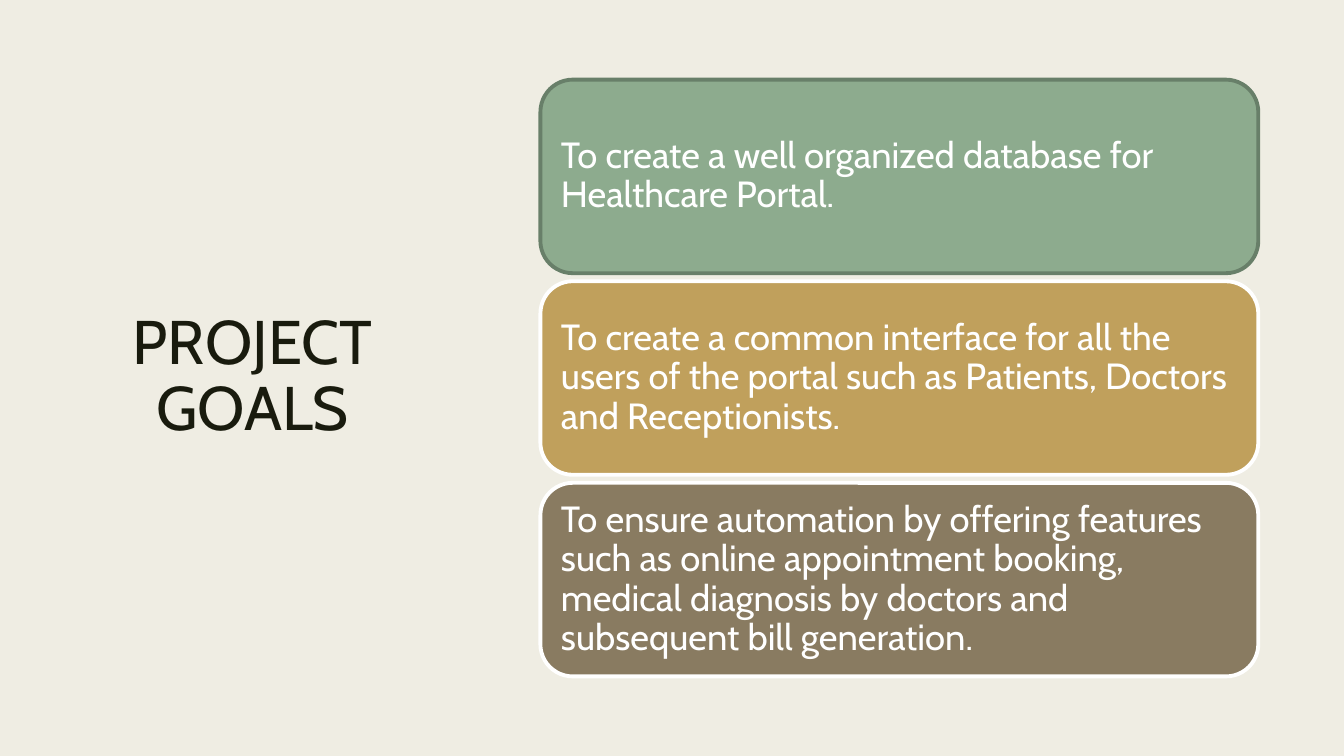
from dataclasses import dataclass

from pptx import Presentation
from pptx.dml.color import RGBColor
from pptx.enum.shapes import MSO_SHAPE as Preset
from pptx.enum.text import MSO_ANCHOR as Anchor, PP_ALIGN as Align
from pptx.slide import Slide
from pptx.text.text import TextFrame
from pptx.util import Inches, Pt

CREAM = RGBColor(0xEF, 0xED, 0xE3)
INK = RGBColor(0x19, 0x1B, 0x0E)
WHITE = RGBColor(0xFF, 0xFF, 0xFF)
SAGE = RGBColor(0x8D, 0xAB, 0x8E)
DARK_SAGE = RGBColor(0x68, 0x7F, 0x69)
GOLD = RGBColor(0xC0, 0xA0, 0x5C)
TAUPE = RGBColor(0x89, 0x7B, 0x61)

FONT = "Cabin"
PAGE_WIDTH, PAGE_HEIGHT = Inches(13.33), Inches(7.5)

# Card column: one card per row, with a small gap between rows
CARD_LEFT, CARD_WIDTH = Inches(5.36), Inches(7.12)
CARD_TOP, CARD_HEIGHT = Inches(0.79), Inches(1.92)
ROW_PITCH = CARD_HEIGHT + Inches(0.08)
CARD_INSET = Inches(0.11)

# Title column
TITLE_MARGIN, TITLE_WIDTH = Inches(0.7), Inches(3.61)


@dataclass(frozen=True)
class Goal:
    text: str
    fill: RGBColor
    outline: RGBColor = WHITE


GOALS = [
    Goal("To create a well organized database for Healthcare Portal.",
         SAGE, DARK_SAGE),
    Goal("To create a common interface for all the users of the portal "
         "such as Patients, Doctors and Receptionists.", GOLD),
    Goal("To ensure automation by offering features such as online "
         "appointment booking, medical diagnosis by doctors and "
         "subsequent bill generation.", TAUPE),
]


def write(frame: TextFrame, text: str, *, size: float, color: RGBColor,
          align: Align = Align.LEFT, spacing: float = 0.9) -> None:
    frame.word_wrap = True
    frame.vertical_anchor = Anchor.MIDDLE
    para = frame.paragraphs[0]
    para.alignment = align
    para.line_spacing = spacing
    span = para.add_run()
    span.text = text
    span.font.name = FONT
    span.font.size = Pt(size)
    span.font.color.rgb = color


def add_title(page: Slide, text: str) -> None:
    box = page.shapes.add_textbox(TITLE_MARGIN, TITLE_MARGIN, TITLE_WIDTH,
                                  PAGE_HEIGHT - 2 * TITLE_MARGIN)
    write(box.text_frame, text, size=44, color=INK, align=Align.CENTER,
          spacing=0.89)


def add_goal(page: Slide, goal: Goal, row: int) -> None:
    card = page.shapes.add_shape(Preset.ROUNDED_RECTANGLE, CARD_LEFT,
                                 CARD_TOP + row * ROW_PITCH,
                                 CARD_WIDTH, CARD_HEIGHT)
    card.shadow.inherit = False
    card.fill.solid()
    card.fill.fore_color.rgb = goal.fill
    card.line.color.rgb = goal.outline
    card.line.width = Pt(2.75)
    frame = card.text_frame
    frame.margin_left = frame.margin_right = CARD_INSET
    frame.margin_top = frame.margin_bottom = CARD_INSET
    write(frame, goal.text, size=26, color=WHITE)


def main() -> None:
    deck = Presentation()
    deck.slide_width, deck.slide_height = PAGE_WIDTH, PAGE_HEIGHT
    page = deck.slides.add_slide(deck.slide_layouts[6])
    page.background.fill.solid()
    page.background.fill.fore_color.rgb = CREAM

    add_title(page, "PROJECT GOALS")
    for row, goal in enumerate(GOALS):
        add_goal(page, goal, row)
    deck.save("out.pptx")


if __name__ == "__main__":
    main()
